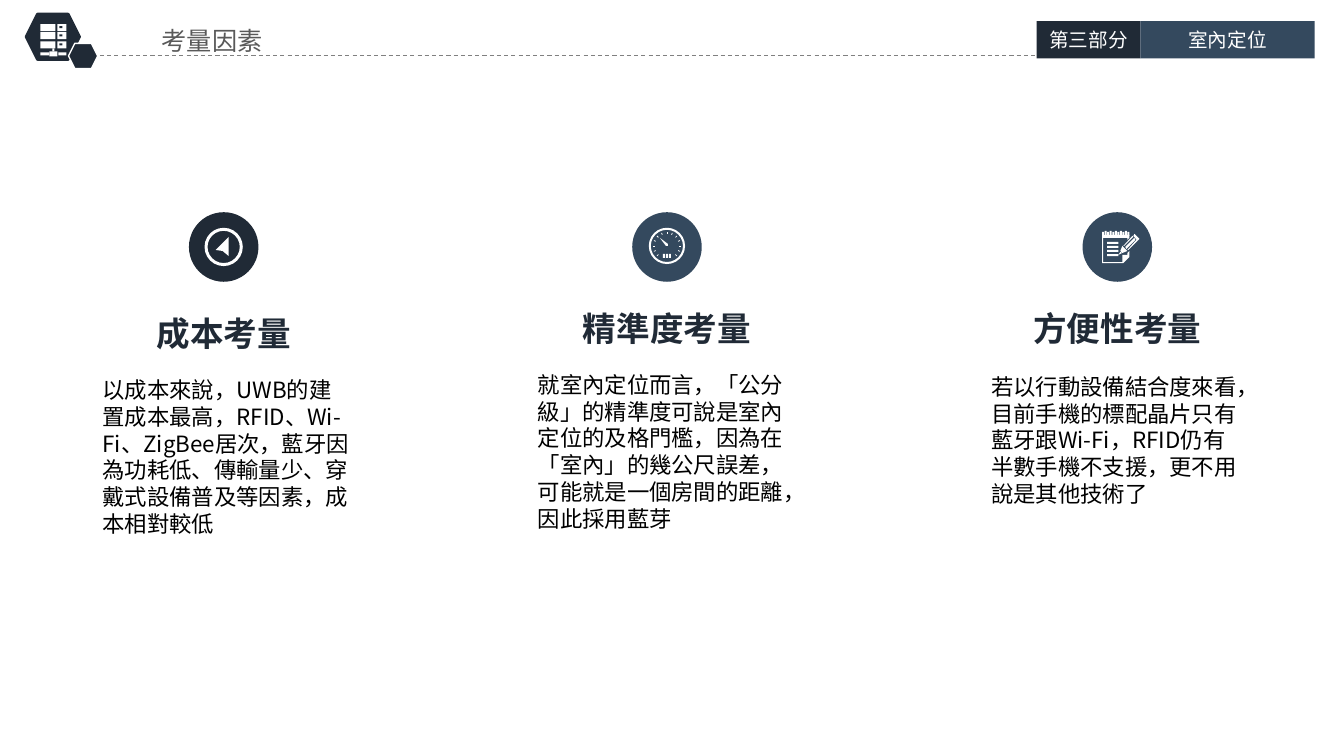
"""Build the slide on considerations for choosing an indoor positioning technology."""
from math import cos, radians, sin

from lxml import etree
from pptx import Presentation
from pptx.dml.color import RGBColor
from pptx.enum.dml import MSO_LINE
from pptx.enum.shapes import MSO_CONNECTOR, MSO_SHAPE
from pptx.enum.text import MSO_ANCHOR, MSO_AUTO_SIZE, PP_ALIGN
from pptx.oxml.ns import qn
from pptx.util import Inches, Pt

RECT, OVAL, HEXAGON, DONUT = (
    MSO_SHAPE.RECTANGLE, MSO_SHAPE.OVAL, MSO_SHAPE.HEXAGON, MSO_SHAPE.DONUT)
LEFT, CENTER = PP_ALIGN.LEFT, PP_ALIGN.CENTER
FONT = "Noto Sans CJK SC"
NAVY, SLATE, WHITE, BLACK = "202A36", "34495E", "FFFFFF", "000000"
TITLE_GRAY, RULE_GRAY = "595959", "808080"

TITLE = "考量因素"
TABS = [("第三部分", 10.29, 1.03, NAVY), ("室內定位", 11.32, 1.73, SLATE)]
FACTORS = [
    {"heading": "成本考量", "center": 2.22, "heading_top": 3.06,
     "body_left": 0.92, "body_top": 3.68, "badge": NAVY,
     "body": ["以成本來說，UWB的建置成本最高，RFID、Wi-Fi、ZigBee居次，"
              "藍牙因為功耗低、傳輸量少、穿戴式設備普及等因素，成本相對較低"]},
    {"heading": "精準度考量", "center": 6.62, "heading_top": 3.01,
     "body_left": 5.24, "body_top": 3.63, "badge": SLATE,
     "body": ["就室內定位而言，「公分級」的精準度可說是室內定位的及格門檻，"
              "因為在「室內」的幾公尺誤差，可能就是一個房間的距離，",
              "因此採用藍芽"]},
    {"heading": "方便性考量", "center": 11.09, "heading_top": 3.01,
     "body_left": 9.74, "body_top": 3.65, "badge": SLATE,
     "body": ["若以行動設備結合度來看，目前手機的標配晶片只有藍牙跟Wi-Fi，"
              "RFID仍有半數手機不支援，更不用說是其他技術了"]},
]
BADGE_SIZE, BADGE_MIDDLE = 0.69, 2.45
SERVER_ROWS = [0.24, 0.32, 0.41]
NETWORK = [(0.52, 0.48, 0.02, 0.03), (0.49, 0.51, 0.08, 0.05),
           (0.4, 0.52, 0.09, 0.03), (0.58, 0.52, 0.08, 0.03)]
POINTER = [(2.27, 2.35), (2.27, 2.54), (2.21, 2.49), (2.14, 2.48)]
NEEDLE = [(6.55, 2.36), (6.63, 2.42), (6.63, 2.44), (6.61, 2.44)]
NOTEPAD = [
    [(10.94, 2.33), (11.21, 2.33), (11.21, 2.36), (11.19, 2.38), (11.19, 2.36),
     (10.95, 2.36), (10.95, 2.6), (11.14, 2.6), (11.14, 2.53), (11.19, 2.53),
     (11.19, 2.51), (11.21, 2.49), (11.21, 2.55), (11.15, 2.61), (10.94, 2.61)],
    [(11.19, 2.48), (11.2, 2.48), (11.29, 2.39), (11.28, 2.38)],
    [(11.26, 2.36), (11.17, 2.45), (11.18, 2.47), (11.27, 2.38)],
    [(11.15, 2.44), (11.16, 2.44), (11.25, 2.35), (11.24, 2.34)],
    [(11.19, 2.49), (11.14, 2.44), (11.12, 2.49), (11.14, 2.51)],
    [(11.1, 2.53), (11.14, 2.51), (11.12, 2.5)],
    [(11.26, 2.32), (11.25, 2.34), (11.29, 2.39), (11.31, 2.37)],
]


def color(value):
    return RGBColor.from_string(value)


def paint(shape, fill, outline=None, width=1):
    shape.shadow.inherit = False
    shape.fill.solid()
    shape.fill.fore_color.rgb = color(fill)
    if outline:
        shape.line.color.rgb = color(outline)
        shape.line.width = Pt(width)
    else:
        shape.line.fill.background()


def add_preset(slide, kind, box, fill, outline=None, width=1):
    shape = slide.shapes.add_shape(kind, *map(Inches, box))
    paint(shape, fill, outline, width)
    return shape


def add_ring(slide, center, middle, size, thickness):
    box = (center - size / 2, middle - size / 2, size, size)
    add_preset(slide, DONUT, box, WHITE).adjustments[0] = thickness / size


def add_polygon(slide, points):
    start, *rest = [(Inches(x), Inches(y)) for x, y in points]
    builder = slide.shapes.build_freeform(*start)
    builder.add_line_segments(rest)
    paint(builder.convert_to_shape(), WHITE)


def add_line(slide, start, end, line_color, width):
    line = slide.shapes.add_connector(
        MSO_CONNECTOR.STRAIGHT, *map(Inches, (*start, *end)))
    line.line.color.rgb = color(line_color)
    line.line.width = Pt(width)
    etree.SubElement(line._element.spPr, qn("a:effectLst"))
    return line


def write(frame, paragraphs, size, text_color, align=LEFT, bold=False,
          anchor=MSO_ANCHOR.TOP):
    frame.word_wrap = True
    frame.auto_size = MSO_AUTO_SIZE.NONE
    frame.vertical_anchor = anchor
    frame.text = "\n".join(paragraphs)
    for paragraph in frame.paragraphs:
        paragraph.alignment = align
        paragraph.line_spacing = Pt(size * 1.2)
        for run in paragraph.runs:
            run.font.size = Pt(size)
            run.font.bold = bold
            run.font.name = FONT
            run.font.color.rgb = color(text_color)
            east_asian = etree.Element(qn("a:ea"), typeface=FONT)
            run.font._element.find(qn("a:latin")).addnext(east_asian)


def add_text(slide, box, paragraphs, *style, **options):
    frame = slide.shapes.add_textbox(*map(Inches, box)).text_frame
    write(frame, paragraphs, *style, **options)


def draw_server(slide):
    for top in SERVER_ROWS:
        add_preset(slide, RECT, (0.4, top, 0.15, 0.07), WHITE)
        add_preset(slide, RECT, (0.57, top, 0.09, 0.07), WHITE)
        add_preset(slide, RECT, (0.59, top + 0.02, 0.03, 0.02), NAVY)
    for box in NETWORK:
        add_preset(slide, RECT, box, WHITE)


def draw_compass(slide):
    add_ring(slide, 2.22, 2.45, 0.38, 0.03)
    add_polygon(slide, POINTER)


def draw_gauge(slide):
    center, middle = 6.62, 2.44
    add_ring(slide, center, middle, 0.36, 0.02)
    for step in range(13):
        angle = radians(-45 + 22.5 * step)
        inner, outer = [(center + radius * cos(angle), middle - radius * sin(angle))
                        for radius in (0.12, 0.14)]
        add_line(slide, inner, outer, WHITE, 0.5)
    for bar in range(3):
        add_preset(slide, RECT, (6.58 + 0.03 * bar, 2.52, 0.02, 0.04), WHITE)
    add_polygon(slide, NEEDLE)


def draw_notepad(slide):
    for outline in NOTEPAD:
        add_polygon(slide, outline)
    for tooth in range(11):
        top = 2.29 if tooth % 2 else 2.3
        add_preset(slide, RECT, (10.94 + 0.025 * tooth, top, 0.02, 2.34 - top), WHITE)
    for row in range(4):
        add_preset(slide, RECT, (10.99, 2.4 + 0.04 * row, 0.11, 0.02), WHITE)


def draw_header(slide):
    title = slide.shapes.title
    title.left, title.top, title.width, title.height = map(
        Inches, (1.08, 0.21, 2.05, 0.38))
    frame = title.text_frame
    frame.margin_top = frame.margin_bottom = Inches(0.04)
    write(frame, [TITLE], 18, TITLE_GRAY, CENTER)
    add_preset(slide, HEXAGON, (0.26, 0.14, 0.53, 0.45), NAVY, NAVY, 2)
    rule = add_line(slide, (0.92, 0.55), (10.29, 0.55), RULE_GRAY, 0.75)
    rule.line.dash_style = MSO_LINE.DASH
    add_preset(slide, HEXAGON, (0.68, 0.43, 0.29, 0.25), NAVY, WHITE)
    draw_server(slide)
    for label, left, width, fill in TABS:
        tab = add_preset(slide, RECT, (left, 0.21, width, 0.37), fill)
        write(tab.text_frame, [label], 14, WHITE, CENTER, anchor=MSO_ANCHOR.MIDDLE)


def draw_factor(slide, factor, draw_icon):
    center = factor["center"]
    badge = (center - BADGE_SIZE / 2, BADGE_MIDDLE - BADGE_SIZE / 2,
             BADGE_SIZE, BADGE_SIZE)
    add_preset(slide, OVAL, badge, factor["badge"])
    draw_icon(slide)
    add_text(slide, (center - 1.1, factor["heading_top"], 2.2, 0.5),
             [factor["heading"]], 24, NAVY, CENTER, bold=True)
    add_text(slide, (factor["body_left"], factor["body_top"], 2.69, 1.72),
             factor["body"], 16, BLACK)


def main():
    deck = Presentation()
    deck.slide_width, deck.slide_height = Inches(13.34), Inches(7.5)
    slide = deck.slides.add_slide(deck.slide_layouts[5])
    draw_header(slide)
    for factor, draw_icon in zip(FACTORS, (draw_compass, draw_gauge, draw_notepad)):
        draw_factor(slide, factor, draw_icon)
    deck.save("out.pptx")


if __name__ == "__main__":
    main()
